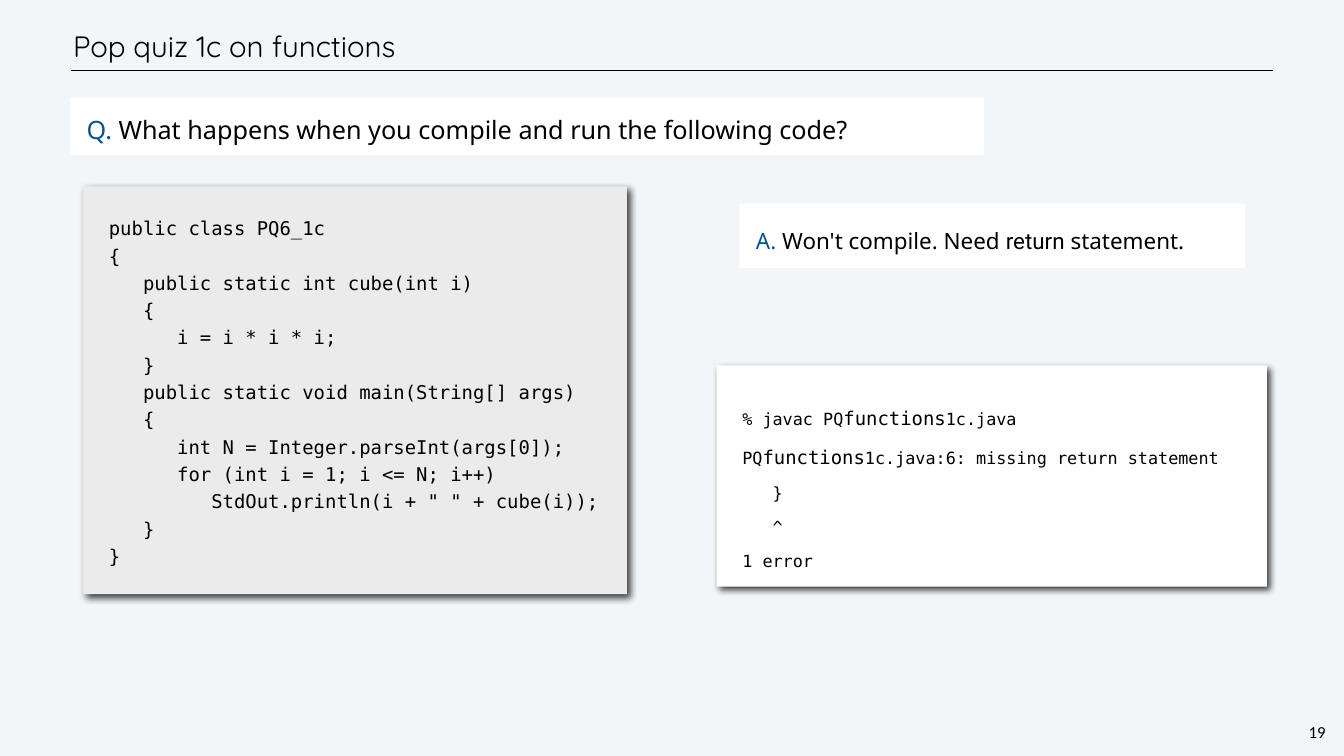
from lxml import etree
from pptx import Presentation
from pptx.dml.color import RGBColor as Rgb
from pptx.enum.shapes import MSO_CONNECTOR as Link, MSO_SHAPE as Form
from pptx.enum.text import MSO_ANCHOR as Anchor, MSO_AUTO_SIZE as Fit, PP_ALIGN as Align
from pptx.oxml import parse_xml
from pptx.oxml.ns import nsdecls, qn
from pptx.util import Inches, Pt

WIDE, HIGH = Inches(26.67), Inches(15)
COLORS = {"back": "F3F6F9", "ink": "000000", "card": "FFFFFF",
          "code": "EBEBEB", "mark": "005493"}
HEAD, BODY, MONO = "Quicksand", "Noto Sans", "DejaVu Sans Mono"

CODE = """public class PQ6_1c
{
   public static int cube(int i)
   {
      i = i * i * i;
   }
   public static void main(String[] args)
   {
      int N = Integer.parseInt(args[0]);
      for (int i = 1; i <= N; i++)
         StdOut.println(i + " " + cube(i));
   }
}"""


def place(x, y, w, h):
    """Turn percentages of the slide into lengths."""
    return [int(side * part / 100)
            for side, part in zip((WIDE, HIGH, WIDE, HIGH), (x, y, w, h))]


def style(font, size, name=BODY, color="ink"):
    font.size, font.name = Pt(size), name
    font.color.rgb = Rgb.from_string(COLORS[color])


def setup(frame, inset, anchor=Anchor.TOP, wrap=True):
    frame.auto_size = Fit.NONE
    frame.word_wrap, frame.vertical_anchor = wrap, anchor
    frame.margin_left = frame.margin_right = Inches(inset)
    frame.margin_top = frame.margin_bottom = Inches(inset)


def write(frame, lines, space, align=Align.LEFT):
    """Each line is a list of (text, size, font, colour) runs."""
    for i, runs in enumerate(lines):
        para = frame.add_paragraph() if i else frame.paragraphs[0]
        para.alignment, para.line_spacing = align, space
        para.space_before = Pt(0)
        for text, *look in runs:
            run = para.add_run()
            run.text = text
            if len(runs) > 1:
                style(run.font, *look)
        if len(runs) == 1:
            style(para.font, *runs[0][1:])


def shade(shape):
    shape._element.spPr.append(parse_xml(
        f'<a:effectLst {nsdecls("a")}><a:outerShdw blurRad="{Pt(10)}" '
        f'dist="{Pt(6)}" dir="2700000" algn="tl" rotWithShape="0">'
        f'<a:srgbClr val="{COLORS["ink"]}"><a:alpha val="75000"/></a:srgbClr>'
        '</a:outerShdw></a:effectLst>'))


def card(slide, spot, lines, space, inset=0.33, fill="card", lift=False):
    box = slide.shapes.add_shape(Form.RECTANGLE, *place(*spot))
    box.fill.solid()
    box.fill.fore_color.rgb = Rgb.from_string(COLORS[fill])
    box.line.fill.background()
    if lift:
        shade(box)
    else:
        box.shadow.inherit = False
    setup(box.text_frame, inset)
    write(box.text_frame, lines, space)


def rule(slide, left, right, row):
    x, y, w, _ = place(left, row, right - left, 0)
    line = slide.shapes.add_connector(Link.STRAIGHT, x, y, x + w, y)
    line.line.width = Pt(1)
    line.line.color.rgb = Rgb.from_string(COLORS["ink"])
    etree.SubElement(line._element.spPr, qn("a:effectLst"))


def title(slide, text):
    box = slide.shapes.title
    box.left, box.top, box.width, box.height = place(5.21, 2.8, 84.81, 6.6)
    setup(box.text_frame, 0.06, Anchor.MIDDLE)
    write(box.text_frame, [[(text, 42, HEAD)]], Pt(50))


def number(slide, text):
    box = slide.shapes.add_textbox(*place(97.19, 95.27, 1.61, 3.13))
    setup(box.text_frame, 0.04, wrap=False)
    write(box.text_frame, [[(text, 24, "Calibri")]], Pt(28), Align.CENTER)


def main():
    deck = Presentation()
    deck.slide_width, deck.slide_height = WIDE, HIGH
    slide = deck.slides.add_slide(deck.slide_layouts[5])
    slide.background.fill.solid()
    slide.background.fill.fore_color.rgb = Rgb.from_string(COLORS["back"])

    # Heading
    rule(slide, 5.32, 94.75, 9.33)
    title(slide, "Pop quiz 1c on functions")

    # Question and its code
    card(slide, (5.21, 12.93, 68.02, 7.6), [[
        ("Q. ", 36, BODY, "mark"),
        ("What happens when you compile and run the following code?", 36)]], Pt(43))
    card(slide, (6.19, 24.67, 40.46, 53.93),
         [[(line, 27, MONO)] for line in CODE.split("\n")],
         Pt(39), 0.51, "code", lift=True)

    # Answer and compiler output
    card(slide, (55.01, 26.93, 37.61, 8.53), [[
        ("A. ", 32, BODY, "mark"), ("Won't compile. Need ", 32),
        ("return", 32, "Roboto"), (" statement.", 32)]], Pt(48))
    named = [[(start, 24, MONO), ("functions", 27, MONO), (end, 24, MONO)]
             for start, end in (("% javac PQ", "1c.java"),
                                ("PQ", "1c.java:6: missing return statement"))]
    plain = [[(line, 24, MONO)] for line in ("   }", "   ^", "1 error")]
    card(slide, (53.32, 48.33, 40.94, 29.27), named + plain, 1.7, 0.51, lift=True)

    number(slide, "19")
    deck.save("out.pptx")


if __name__ == "__main__":
    main()
